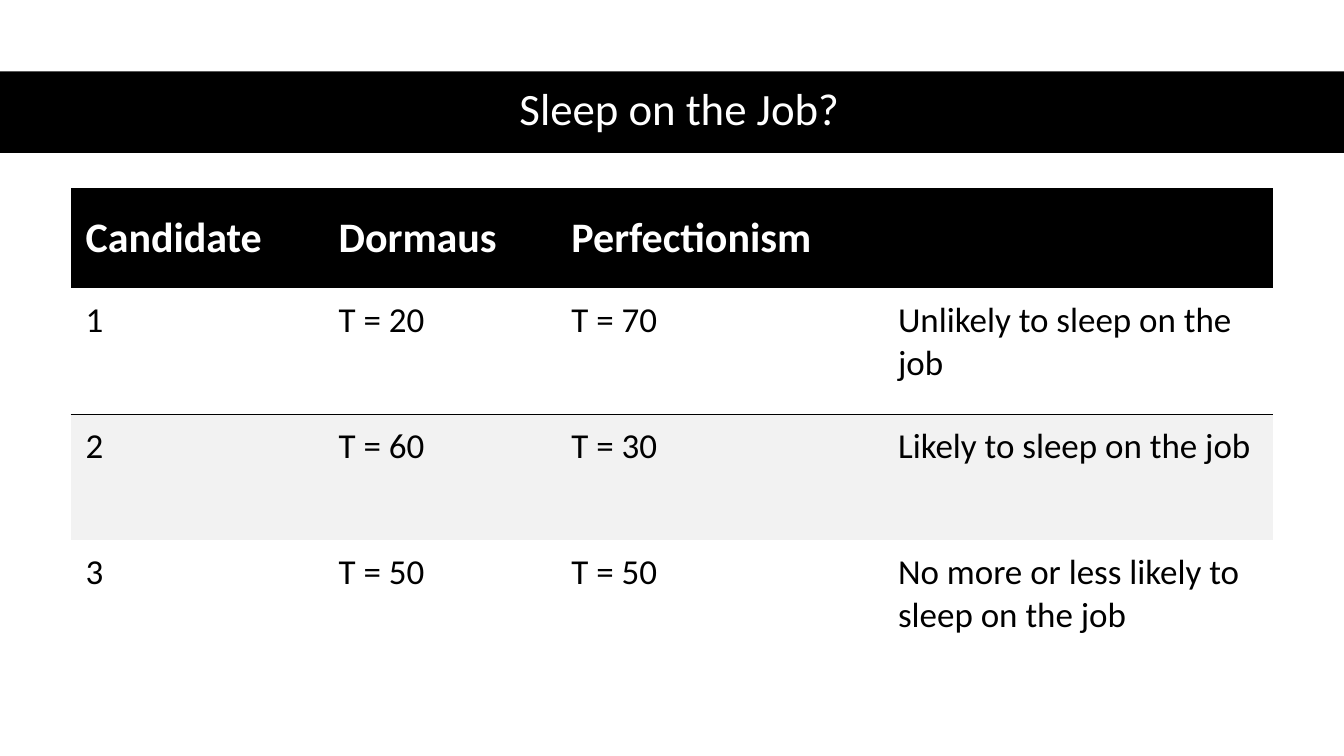
from lxml import etree
from pptx import Presentation
from pptx import util as u
from pptx.dml import color
from pptx.enum import shapes, text
from pptx.oxml import ns

Pt = u.Pt
FONT = "Calibri"
BLACK, WHITE, GREY = "000000", "FFFFFF", "F2F2F2"

COL_WIDTHS = [180.72, 166.32, 233.28, 278.64]
ROW_HEIGHTS = [72, 90, 90, 90]
ROWS = [
    ["Candidate", "Dormaus", "Perfectionism", ""],
    ["1", "T = 20", "T = 70", "Unlikely to sleep on the job"],
    ["2", "T = 60", "T = 30", "Likely to sleep on the job"],
    ["3", "T = 50", "T = 50", "No more or less likely to sleep on the job"],
]
ROW_FILLS = [BLACK, None, GREY, None]
RULED_SIDES = {1: "B", 2: "T"}


def rgb(value):
    return color.RGBColor.from_string(value)


def set_fill(fill, value):
    if value:
        fill.solid()
        fill.fore_color.rgb = rgb(value)
    else:
        fill.background()


def write(tf, words, size, font_color, bold=False):
    p = tf.paragraphs[0]
    p.text = words
    for r in p.runs:
        r.font.name = FONT
        r.font.size = Pt(size)
        r.font.bold = bold
        r.font.color.rgb = rgb(font_color)
    return p


def add_band(s, left, top, width, height, fill):
    sp = s.shapes.add_shape(shapes.MSO_SHAPE.RECTANGLE,
                            Pt(left), Pt(top), Pt(width), Pt(height))
    sp.shadow.inherit = False
    set_fill(sp.fill, fill)
    sp.line.fill.background()


def add_title(s, words, left, top, width, height):
    sp = s.shapes.add_textbox(Pt(left), Pt(top), Pt(width), Pt(height))
    tf = sp.text_frame
    tf.word_wrap = True
    tf.vertical_anchor = text.MSO_ANCHOR.MIDDLE
    p = write(tf, words, 32, WHITE)
    p.alignment = text.PP_ALIGN.CENTER
    p.line_spacing = 0.9


def set_borders(cell, ruled_side):
    """Draw a 1 pt black line on the ruled side and none on the others."""
    tc_pr = cell._tc.get_or_add_tcPr()
    for side in "LRTB":
        ln = etree.SubElement(tc_pr, ns.qn(f"a:ln{side}"), w=str(Pt(1)))
        if side == ruled_side:
            fill = etree.SubElement(ln, ns.qn("a:solidFill"))
            etree.SubElement(fill, ns.qn("a:srgbClr"), val=BLACK)
        else:
            etree.SubElement(ln, ns.qn("a:noFill"))


def fill_cell(cell, words, row):
    header = row == 0
    set_borders(cell, RULED_SIDES.get(row))
    set_fill(cell.fill, ROW_FILLS[row])
    cell.margin_left, cell.margin_right = Pt(10.8), Pt(8)
    cell.margin_top, cell.margin_bottom = Pt(15 if header else 8), Pt(15)
    cell.vertical_anchor = (text.MSO_ANCHOR.MIDDLE if header
                            else text.MSO_ANCHOR.TOP)
    write(cell.text_frame, words, 30 if header else 25,
          WHITE if header else BLACK, bold=header)


def add_candidate_table(s, left, top):
    frame = s.shapes.add_table(len(ROWS), len(COL_WIDTHS), Pt(left), Pt(top),
                               Pt(sum(COL_WIDTHS)), Pt(sum(ROW_HEIGHTS)))
    table = frame.table
    for column, width in zip(table.columns, COL_WIDTHS):
        column.width = Pt(width)
    for i, (height, row) in enumerate(zip(ROW_HEIGHTS, ROWS)):
        table.rows[i].height = Pt(height)
        for j, words in enumerate(row):
            fill_cell(table.cell(i, j), words, i)


def main():
    prs = Presentation()
    prs.slide_width, prs.slide_height = Pt(960), Pt(540)
    s = prs.slides.add_slide(prs.slide_layouts[6])
    add_band(s, 0, 51, 960, 58.3, BLACK)
    add_title(s, "Sleep on the Job?", 44, 50.4, 882.7, 58.3)
    add_candidate_table(s, 50.4, 134)
    prs.save("out.pptx")


if __name__ == "__main__":
    main()
